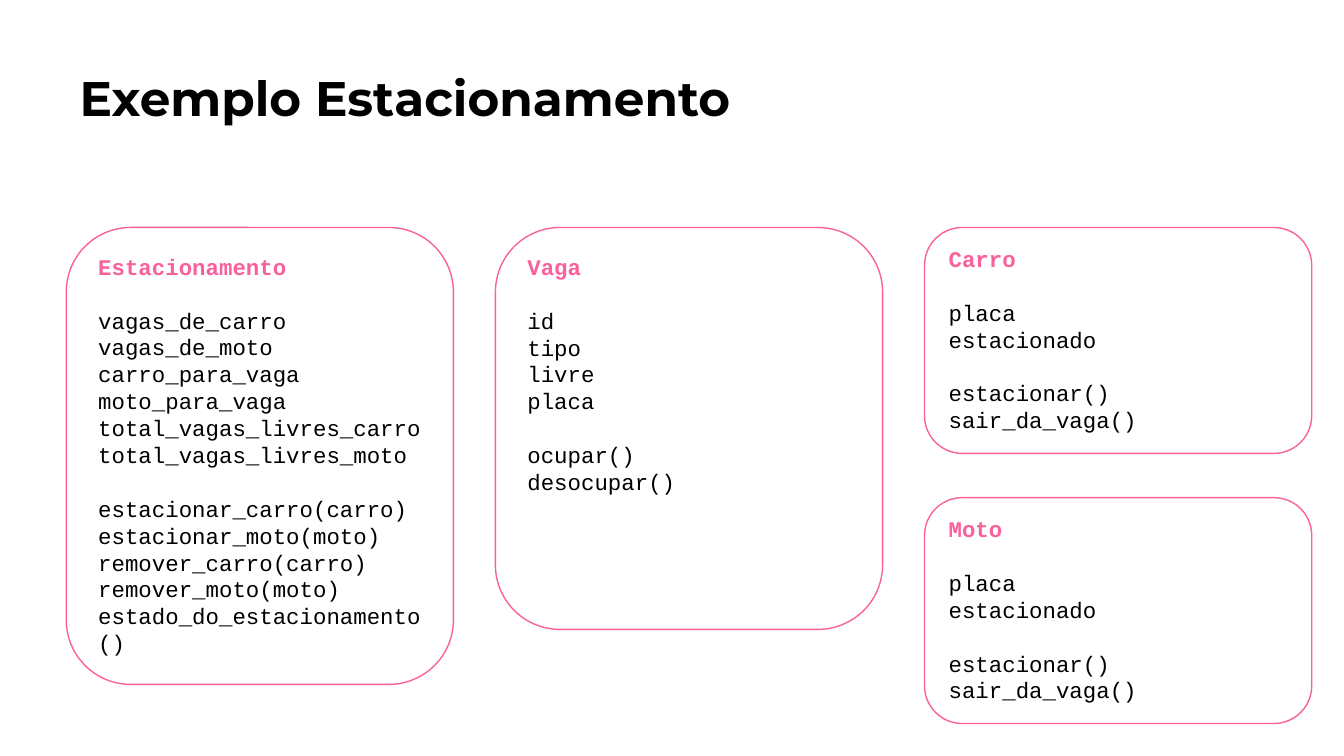
from pptx import Presentation
from pptx.dml.color import RGBColor
from pptx.enum.shapes import MSO_SHAPE
from pptx.enum.text import MSO_ANCHOR, PP_ALIGN
from pptx.util import Pt

COLORS = {"text": "000000", "accent": "FA609B"}
LINE_HEIGHT = 14.4


def write(para, text, font="Courier New", size=12, color="text", bold=False,
          before=0, spacing=None):
    para.alignment = PP_ALIGN.LEFT
    para.space_before = Pt(before)
    para.line_spacing = spacing
    span = para.add_run()
    span.text = text
    span.font.name = font
    span.font.size = Pt(size)
    span.font.bold = bold
    span.font.color.rgb = RGBColor.from_string(COLORS[color])


deck = Presentation()
deck.slide_width, deck.slide_height = Pt(720), Pt(405)
page = deck.slides.add_slide(deck.slide_layouts[5])

title = page.shapes.title
title.left, title.top, title.width, title.height = Pt(35.4), Pt(29.2), Pt(563.8), Pt(46)
frame = title.text_frame
frame.margin_left = frame.margin_right = frame.margin_top = frame.margin_bottom = Pt(7.2)
frame.vertical_anchor = MSO_ANCHOR.TOP
write(frame.paragraphs[0], "Exemplo Estacionamento", font="Montserrat", size=26, bold=True)

# Each class: column, top, height, name, attributes, methods
vehicle = (["placa", "estacionado"], ["estacionar()", "sair_da_vaga()"])
classes = [
    (0, 121.9, 244.8, "Estacionamento",
     ["vagas_de_carro", "vagas_de_moto", "carro_para_vaga", "moto_para_vaga",
      "total_vagas_livres_carro", "total_vagas_livres_moto"],
     ["estacionar_carro(carro)", "estacionar_moto(moto)", "remover_carro(carro)",
      "remover_moto(moto)", "estado_do_estacionamento()"]),
    (1, 121.9, 215.3, "Vaga", ["id", "tipo", "livre", "placa"], ["ocupar()", "desocupar()"]),
    (2, 121.9, 121, "Carro", *vehicle),
    (2, 266.6, 121, "Moto", *vehicle),
]

for column, top, height, name, attributes, methods in classes:
    box = page.shapes.add_shape(MSO_SHAPE.ROUNDED_RECTANGLE, Pt(35.5 + 229.9 * column),
                                Pt(top), Pt(207.4), Pt(height))
    box.shadow.inherit = False
    box.fill.background()
    box.line.color.rgb = RGBColor.from_string(COLORS["accent"])
    box.line.width = Pt(0.75)
    frame = box.text_frame
    frame.word_wrap = True
    frame.vertical_anchor = MSO_ANCHOR.TOP
    frame.margin_left = frame.margin_right = Pt(7)
    frame.margin_top = frame.margin_bottom = Pt(3.6)
    write(frame.paragraphs[0], name, color="accent", bold=True, spacing=Pt(LINE_HEIGHT))
    for group in (attributes, methods):
        for index, member in enumerate(group):
            write(frame.add_paragraph(), member, spacing=Pt(LINE_HEIGHT),
                  before=LINE_HEIGHT if index == 0 else 0)

deck.save("out.pptx")
